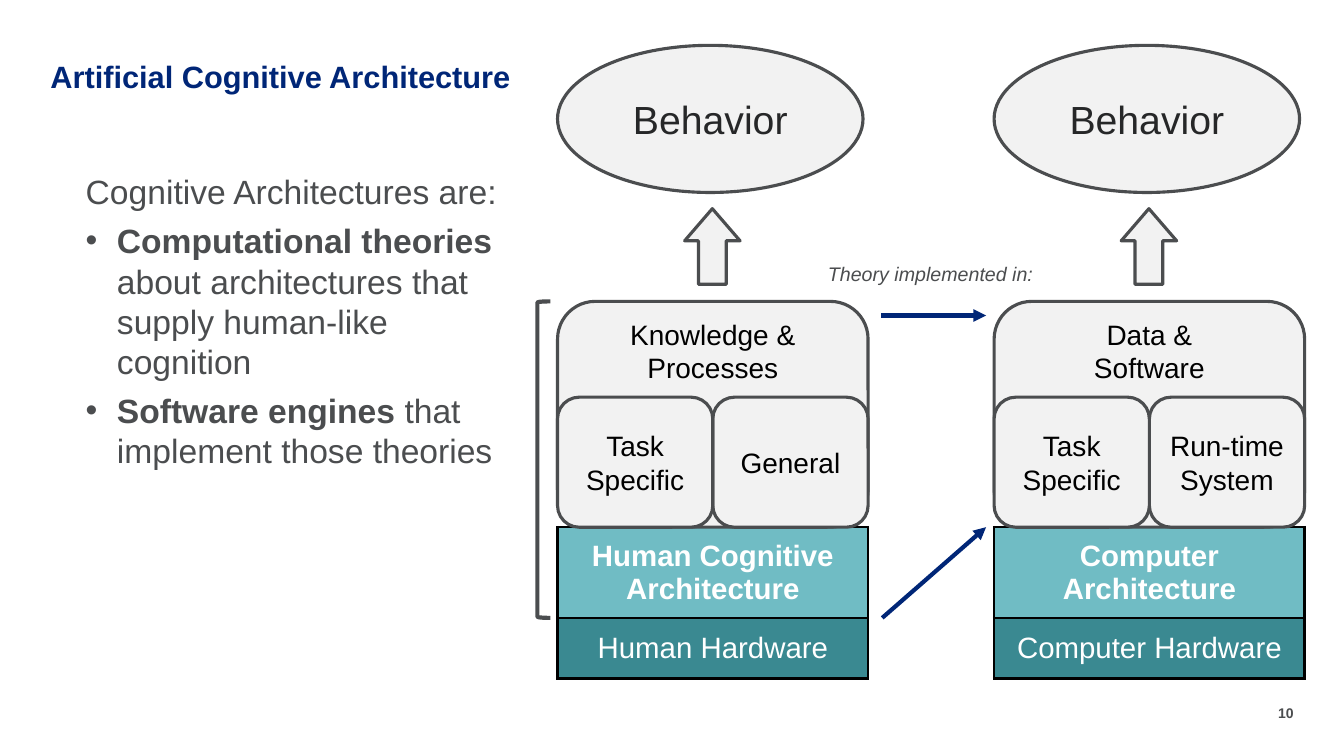
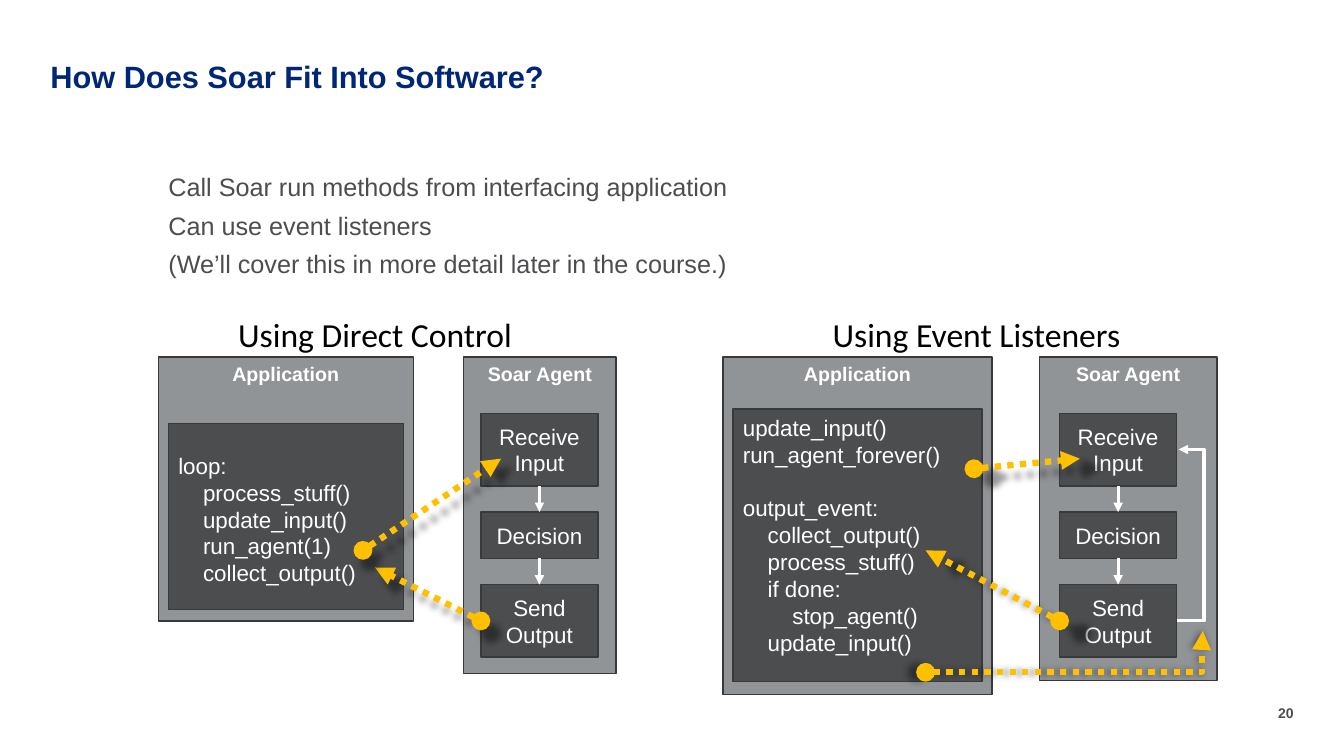
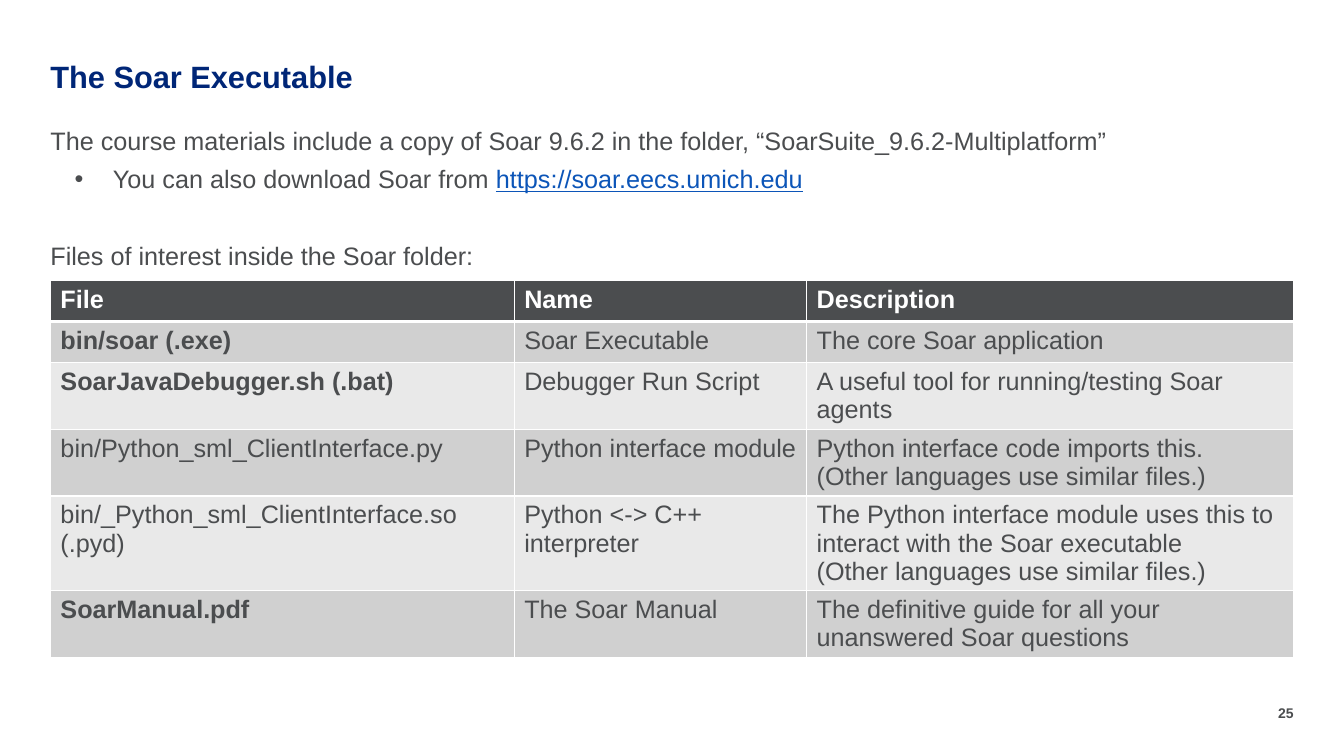
from dataclasses import dataclass
from typing import Optional, Sequence, Union

from lxml import etree
from pptx import Presentation
from pptx.dml.color import RGBColor
from pptx.enum.dml import MSO_LINE
from pptx.enum.shapes import MSO_CONNECTOR, MSO_SHAPE
from pptx.enum.text import MSO_ANCHOR, MSO_AUTO_SIZE, PP_ALIGN
from pptx.oxml.ns import qn
from pptx.util import Emu, Pt

LEFT, CENTER, RIGHT = PP_ALIGN.LEFT, PP_ALIGN.CENTER, PP_ALIGN.RIGHT
TOP, MIDDLE = MSO_ANCHOR.TOP, MSO_ANCHOR.MIDDLE
RECTANGLE, ROUNDED = MSO_SHAPE.RECTANGLE, MSO_SHAPE.ROUNDED_RECTANGLE
ELLIPSE, UP_ARROW = MSO_SHAPE.OVAL, MSO_SHAPE.UP_ARROW
LEFT_BRACKET = MSO_SHAPE.LEFT_BRACKET
STRAIGHT, ELBOW = MSO_CONNECTOR.STRAIGHT, MSO_CONNECTOR.ELBOW
DOTTED = MSO_LINE.ROUND_DOT

EMU_PER_PX = 9144
FONT = "Arial"
NAVY, GRAY, MID_GRAY, EDGE = "002677", "4B4D4F", "919497", "37393A"
PALE, WHITE, BLACK, INK = "F2F2F2", "FFFFFF", "000000", "262728"
TEAL_LIGHT, TEAL_DARK = "70BCC4", "3A8991"
YELLOW, LINK = "FFC000", "0C55B8"
BAND_DARK, BAND_LIGHT = "D0D0D0", "E9E9E9"
NO_INSETS = (0, 0, 0, 0)
CELL_INSETS = (10, 5, 10, 5)

Box = tuple[int, int, int, int]
Point = tuple[int, int]


@dataclass(frozen=True)
class Run:
    text: str
    bold: Optional[bool] = None
    color: Optional[str] = None
    underline: bool = False


@dataclass(frozen=True)
class Paragraph:
    runs: Sequence[Run]
    space_before: Optional[float] = None
    bullet_left: int = 0
    bullet_hang: int = 0
    level: int = 0


Text = Union[str, Sequence[Union[str, Paragraph]]]


@dataclass(frozen=True)
class Stack:
    left: int
    knowledge: str
    specific: str
    general: str
    architecture: str
    hardware: str


@dataclass(frozen=True)
class Panel:
    title: str
    title_box: Box
    application: Box
    agent: Box
    code_box: Box
    code_anchor: MSO_ANCHOR
    code: Text
    steps_left: int


@dataclass(frozen=True)
class Step:
    label: str
    top: int
    height: int


@dataclass(frozen=True)
class FileRow:
    file: str
    name: str
    description: Text
    height: int
    bold: bool = False


STACKS = (
    Stack(553, "Knowledge & Processes", "Task Specific", "General",
          "Human Cognitive Architecture", "Human Hardware"),
    Stack(986, "Data &\nSoftware", "Task Specific", "Run-time System",
          "Computer Architecture", "Computer Hardware"),
)

STEPS = (Step("Receive Input", 410, 72), Step("Decision", 508, 46), Step("Send Output", 580, 72))
STEP_WIDTH = 116

PANELS = (
    Panel("Using Direct Control", (218, 307, 308, 60), (157, 354, 253, 262),
          (460, 354, 151, 314), (167, 420, 233, 185), MIDDLE,
          ("loop:", "    process_stuff()", "    update_input()",
           "    run_agent(1)", "    collect_output()"), 477),
    Panel("Using Event Listeners", (807, 307, 323, 60), (717, 354, 267, 335),
          (1031, 354, 176, 321), (727, 406, 247, 270), TOP,
          ("update_input()", "run_agent_forever()",
           Paragraph((Run("output_event:"),), space_before=19),
           "    collect_output()", "    process_stuff()", "    if done:",
           "        stop_agent()", "    update_input()"), 1051),
)

CALLS = (
    ((477, 616), (372, 563)),
    ((360, 546), (497, 455)),
    ((966, 465), (1071, 455)),
    ((1051, 616), (918, 546)),
)

FILES = (
    FileRow("bin/soar (.exe)", "Soar Executable", "The core Soar application", 41, True),
    FileRow("SoarJavaDebugger.sh (.bat)", "Debugger Run Script",
            "A useful tool for running/testing Soar agents", 66, True),
    FileRow("bin/Python_sml_ClientInterface.py", "Python interface module",
            ("Python interface code imports this.", "(Other languages use similar files.)"), 66),
    FileRow("bin/_Python_sml_ClientInterface.so (.pyd)", "Python <-> C++ interpreter",
            "The Python interface module uses this to interact with the Soar executable\n"
            "(Other languages use similar files.)", 94),
    FileRow("SoarManual.pdf", "The Soar Manual",
            "The definitive guide for all your unanswered Soar questions", 66, True),
)


def px(length: int) -> Emu:
    return Emu(length * EMU_PER_PX)


def place(box: Box) -> list[Emu]:
    return [px(length) for length in box]


def rgb(color: str) -> RGBColor:
    return RGBColor.from_string(color)


def add_element(parent, tag: str, **attributes: str):
    element = etree.SubElement(parent, qn(tag))
    for name, value in attributes.items():
        element.set(name, value)
    return element


def add_solid(parent, color: str):
    return add_element(add_element(parent, "a:solidFill"), "a:srgbClr", val=color)


def set_bullet(paragraph, item: Paragraph) -> None:
    properties = paragraph._p.get_or_add_pPr()
    properties.set("marL", str(px(item.bullet_left)))
    properties.set("indent", str(-px(item.bullet_hang)))
    if item.bullet_hang:
        add_element(properties, "a:buFont", typeface=FONT)
        add_element(properties, "a:buChar", char="•")
    else:
        add_element(properties, "a:buNone")


def write_text(frame, text: Text, *, size: float, color: str, font: str = FONT,
               bold: bool = False, italic: bool = False, align: PP_ALIGN = LEFT,
               space_before: float = 0, line_spacing: Optional[float] = None) -> None:
    items = [text] if isinstance(text, str) else text
    for index, entry in enumerate(items):
        item = Paragraph((Run(entry),)) if isinstance(entry, str) else entry
        paragraph = frame.paragraphs[0] if index == 0 else frame.add_paragraph()
        set_bullet(paragraph, item)
        paragraph.level = item.level
        paragraph.alignment = align
        gap = space_before if item.space_before is None else item.space_before
        paragraph.space_before = Pt(gap if index else 0)
        if line_spacing:
            paragraph.line_spacing = line_spacing
        for piece in item.runs:
            for number, part in enumerate(piece.text.split("\n")):
                if number:
                    paragraph.add_line_break()
                run = paragraph.add_run()
                run.text = part
                run.font.name = font
                run.font.size = Pt(size)
                run.font.bold = bold if piece.bold is None else piece.bold
                run.font.italic = italic
                run.font.underline = piece.underline
                run.font.color.rgb = rgb(piece.color or color)


def set_frame(frame, insets: Box = CELL_INSETS, anchor: MSO_ANCHOR = TOP, wrap: bool = True):
    frame.auto_size = MSO_AUTO_SIZE.NONE
    frame.word_wrap = wrap
    frame.vertical_anchor = anchor
    frame.margin_left, frame.margin_top, frame.margin_right, frame.margin_bottom = place(insets)
    return frame


def add_text_box(slide, box: Box, insets: Box = CELL_INSETS, wrap: bool = True):
    return set_frame(slide.shapes.add_textbox(*place(box)).text_frame, insets, wrap=wrap)


def fill_placeholder(placeholder, box: Box, text: Text, **text_format) -> None:
    placeholder.left, placeholder.top, placeholder.width, placeholder.height = place(box)
    write_text(set_frame(placeholder.text_frame, NO_INSETS), text, **text_format)


def add_slide(presentation, number: int, title: str, body_box: Box, body: Text, body_size: float):
    slide = presentation.slides.add_slide(presentation.slide_layouts[1])
    fill_placeholder(slide.shapes.title, (50, 61, 1050, 33), title,
                     size=22, color=NAVY, bold=True, line_spacing=0.9)
    fill_placeholder(slide.placeholders[1], body_box, body,
                     size=body_size, color=GRAY, space_before=6)
    write_text(add_text_box(slide, (1266, 699, 17, 17), NO_INSETS, wrap=False), str(number),
               size=10, color=GRAY, bold=True, align=RIGHT)
    return slide


def add_figure(slide, kind: MSO_SHAPE, box: Box, fill: Optional[str], line: str, width: float):
    shape = slide.shapes.add_shape(kind, *place(box))
    shape.shadow.inherit = False
    if fill:
        shape.fill.solid()
        shape.fill.fore_color.rgb = rgb(fill)
    else:
        shape.fill.background()
    shape.line.color.rgb = rgb(line)
    shape.line.width = Pt(width)
    return shape


def add_arrow(slide, start: Point, end: Point, color: str, width: float,
              bend: Optional[int] = None, call: bool = False) -> None:
    kind = STRAIGHT if bend is None else ELBOW
    connector = slide.shapes.add_connector(kind, *place(start + end))
    connector.line.color.rgb = rgb(color)
    connector.line.width = Pt(width)
    if call:
        connector.line.dash_style = DOTTED
    properties = connector.element.spPr
    outline = properties.find(qn("a:ln"))
    if call:
        add_element(outline, "a:headEnd", type="oval")
    add_element(outline, "a:tailEnd", type="triangle")
    effects = add_element(properties, "a:effectLst")
    if call:
        shadow = add_element(effects, "a:outerShdw", blurRad="63500", sx="102000",
                             sy="102000", algn="ctr", rotWithShape="0")
        add_element(add_element(shadow, "a:srgbClr", val=BLACK), "a:alpha", val="40000")
    if bend is not None:
        ratio = round((bend - start[0]) / (end[0] - start[0]) * 100000)
        geometry = properties.find(qn("a:prstGeom"))
        guides = geometry.find(qn("a:avLst"))
        if guides is None:
            guides = add_element(geometry, "a:avLst")
        add_element(guides, "a:gd", name="adj1", fmla=f"val {ratio}")


def add_table(slide, left: int, top: int, columns: Sequence[int], rows: Sequence[int]):
    box = (left, top, sum(columns), sum(rows))
    table = slide.shapes.add_table(len(rows), len(columns), *place(box)).table
    table.first_row = table.horz_banding = False
    for column, width in zip(table.columns, columns):
        column.width = px(width)
    for row, height in zip(table.rows, rows):
        row.height = px(height)
    return table


def fill_cell(cell, text: Text, fill: str, border: str, widths: Sequence[float],
              anchor: MSO_ANCHOR = TOP, **text_format) -> None:
    properties = cell._tc.get_or_add_tcPr()
    for side, width in zip("LRTB", widths):
        add_solid(add_element(properties, f"a:ln{side}", w=str(Pt(width))), border)
    cell.fill.solid()
    cell.fill.fore_color.rgb = rgb(fill)
    cell.vertical_anchor = anchor
    write_text(cell.text_frame, text, **text_format)


def draw_stack(slide, stack: Stack) -> None:
    left = stack.left
    table = add_table(slide, left, 523, (308,), (90, 60))
    layers = ((stack.architecture, TEAL_LIGHT, True), (stack.hardware, TEAL_DARK, False))
    for row, (label, fill, bold) in enumerate(layers):
        fill_cell(table.cell(row, 0), label, fill, BLACK, (2,) * 4, MIDDLE,
                  size=21, color=WHITE, bold=bold, align=CENTER)
    blocks = (
        (ROUNDED, (left, 299, 308, 224), stack.knowledge, TOP, 20, BLACK),
        (ROUNDED, (left + 154, 394, 154, 129), stack.general, MIDDLE, 20, BLACK),
        (ROUNDED, (left, 394, 154, 129), stack.specific, MIDDLE, 20, BLACK),
        (ELLIPSE, (left, 45, 303, 146), "Behavior", MIDDLE, 28, INK),
    )
    for kind, box, label, anchor, size, color in blocks:
        shape = add_figure(slide, kind, box, PALE, GRAY, 2.25)
        write_text(set_frame(shape.text_frame, anchor=anchor), label,
                   size=size, color=color, align=CENTER)
    arrow = add_figure(slide, UP_ARROW, (left + 126, 207, 55, 75), PALE, GRAY, 2.25)
    arrow.adjustments[0], arrow.adjustments[1] = 0.5, 0.58


def draw_panel(slide, panel: Panel) -> None:
    for label, box in (("Application", panel.application), ("Soar Agent", panel.agent)):
        shape = add_figure(slide, RECTANGLE, box, MID_GRAY, EDGE, 1)
        write_text(set_frame(shape.text_frame), label,
                   size=14, color=WHITE, bold=True, align=CENTER)
    code = add_figure(slide, RECTANGLE, panel.code_box, GRAY, EDGE, 1)
    write_text(set_frame(code.text_frame, (10, 5, 10, 0), panel.code_anchor), panel.code,
               size=16, color=WHITE)
    for step in STEPS:
        box = (panel.steps_left, step.top, STEP_WIDTH, step.height)
        shape = add_figure(slide, RECTANGLE, box, GRAY, EDGE, 1)
        write_text(set_frame(shape.text_frame, NO_INSETS, MIDDLE), step.label,
                   size=16, color=WHITE, align=CENTER)
    middle = panel.steps_left + STEP_WIDTH // 2
    for upper, lower in zip(STEPS, STEPS[1:]):
        add_arrow(slide, (middle, upper.top + upper.height), (middle, lower.top), WHITE, 2.25)
    write_text(add_text_box(slide, panel.title_box), panel.title,
               size=24, color=BLACK, font="Calibri", align=CENTER)


def build_architecture(presentation) -> None:
    def bullet(strong: str, rest: str) -> Paragraph:
        return Paragraph((Run(strong, bold=True), Run(rest)), bullet_left=31, bullet_hang=31)

    body = ("Cognitive Architectures are:",
            bullet("Computational theories ",
                   "about architectures that supply human-like cognition"),
            bullet("Software engines ", "that implement those theories"))
    slide = add_slide(presentation, 10, "Artificial Cognitive Architecture",
                      (85, 170, 434, 430), body, 24)
    for stack in STACKS:
        draw_stack(slide, stack)
    add_arrow(slide, (874, 313), (978, 313), NAVY, 3)
    add_arrow(slide, (875, 613), (978, 523), NAVY, 3)
    add_figure(slide, LEFT_BRACKET, (533, 299, 13, 314), None, GRAY, 3)
    write_text(add_text_box(slide, (821, 260, 204, 24), NO_INSETS, wrap=False),
               "Theory implemented in:", size=14, color=GRAY, italic=True, align=CENTER)


def build_software(presentation) -> None:
    body = ("Call Soar run methods from interfacing application", "Can use event listeners",
            "(We’ll cover this in more detail later in the course.)")
    slide = add_slide(presentation, 20, "How Does Soar Fit Into Software?",
                      (167, 170, 1050, 123), body, 18)
    for panel in PANELS:
        draw_panel(slide, panel)
    add_arrow(slide, (1167, 616), (1169, 446), WHITE, 2.25, bend=1194)
    for start, end in CALLS:
        add_arrow(slide, start, end, YELLOW, 4.5, call=True)
    add_arrow(slide, (918, 667), (1193, 626), YELLOW, 4.5, bend=1192, call=True)


def build_executable(presentation) -> None:
    download = (Run("You can also download Soar from "),
                Run("https://soar.eecs.umich.edu", color=LINK, underline=True))
    body = ("The course materials include a copy of Soar 9.6.2 in the folder, "
            "“SoarSuite_9.6.2-Multiplatform”",
            Paragraph(download, bullet_left=62, bullet_hang=38, level=1),
            Paragraph((Run("Files of interest inside the Soar folder:"),), space_before=33))
    slide = add_slide(presentation, 25, "The Soar Executable", (50, 124, 1246, 174), body, 18)
    heights = [41] + [row.height for row in FILES]
    table = add_table(slide, 50, 278, (460, 290, 483), heights)
    for column, label in enumerate(("File", "Name", "Description")):
        fill_cell(table.cell(0, column), label, GRAY, WHITE, (1, 1, 1, 3),
                  size=18, color=WHITE, bold=True)
    for index, row in enumerate(FILES, start=1):
        fill = BAND_DARK if index % 2 else BAND_LIGHT
        widths = (1, 1, 3 if index == 1 else 1, 1)
        for column, text in enumerate((row.file, row.name, row.description)):
            fill_cell(table.cell(index, column), text, fill, WHITE, widths,
                      size=18, color=GRAY, bold=row.bold and column == 0)


def main() -> None:
    presentation = Presentation()
    presentation.slide_width, presentation.slide_height = px(1333), px(750)
    build_architecture(presentation)
    build_software(presentation)
    build_executable(presentation)
    presentation.save("out.pptx")


if __name__ == "__main__":
    main()
